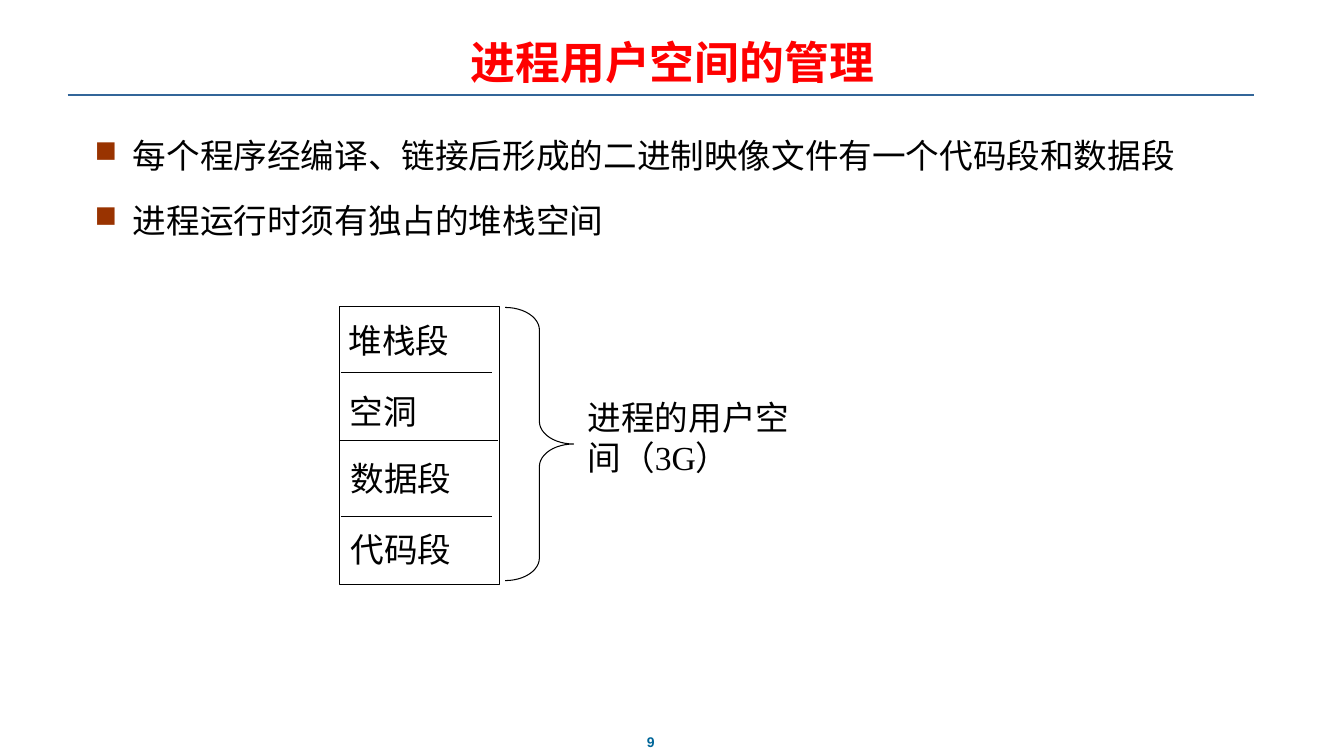
from dataclasses import dataclass
from lxml.etree import SubElement as Sub
from pptx import Presentation
from pptx.dml.color import RGBColor as RGB
from pptx.enum.shapes import MSO_CONNECTOR as Conn, MSO_SHAPE as Shape
from pptx.enum.text import MSO_ANCHOR as Anchor, PP_ALIGN as Align
from pptx.oxml.ns import qn
from pptx.util import Inches, Pt


@dataclass(frozen=True)
class Theme:
    sans: str = "Arial"
    serif: str = "Times New Roman"
    ink: str = "000000"
    paper: str = "FFFFFF"
    title: str = "FF0000"
    rule: str = "336699"
    page: str = "006699"
    bullet: str = "993300"
    big: int = 32
    text: int = 24
    small: int = 10
    thin: float = 0.75
    thick: float = 1.5


theme = Theme()
deck = Presentation()
deck.slide_width, deck.slide_height = Inches(13.33), Inches(7.5)
slide = deck.slides.add_slide(deck.slide_layouts[6])
shapes = slide.shapes


def add_text(box, text, font, size=theme.text, color=theme.ink,
             bold=False, align=Align.LEFT, anchor=Anchor.TOP, wrap=True):
    item = shapes.add_textbox(*map(Inches, box))
    frame = item.text_frame
    frame.text = text
    frame.word_wrap = wrap
    frame.vertical_anchor = anchor
    for para in frame.paragraphs:
        para.alignment = align
        for run in para.runs:
            run.font.name, run.font.size = font, Pt(size)
            run.font.bold = bold
            run.font.color.rgb = RGB.from_string(color)
    return frame


def add_line(left, right, y, color=theme.ink, width=theme.thin):
    line = shapes.add_connector(
        Conn.STRAIGHT, Inches(left), Inches(y), Inches(right), Inches(y))
    line.line.color.rgb = RGB.from_string(color)
    line.line.width = Pt(width)
    Sub(line._element.spPr, qn("a:effectLst"))


# Title, rule and page number
add_line(0.67, 12.44, 0.94, theme.rule, theme.thick)
add_text((6.27, 7.23, 0.37, 0.27), "9", theme.sans, theme.small, theme.page,
         bold=True, align=Align.CENTER, wrap=False)
add_text((0.67, 0.3, 12, 0.63), "进程用户空间的管理", theme.sans, theme.big,
         theme.title, bold=True, align=Align.CENTER, anchor=Anchor.BOTTOM)

# Bulleted points
points = ["每个程序经编译、链接后形成的二进制映像文件有一个代码段和数据段",
          "进程运行时须有独占的堆栈空间"]
body = add_text((0.84, 1.17, 12, 5.64), "\n".join(points), theme.sans)
for para in body.paragraphs:
    para.line_spacing = 1.3
    para.space_before = Pt(9)
    props = para._p.get_or_add_pPr()
    props.set("marL", str(Inches(0.38)))
    props.set("indent", str(-Inches(0.38)))
    tint = Sub(props, qn("a:buClr"))
    Sub(tint, qn("a:srgbClr"), val=theme.bullet)
    Sub(props, qn("a:buSzPct"), val="90000")
    Sub(props, qn("a:buChar"), char="■")

# Memory block and brace
block = shapes.add_shape(
    Shape.RECTANGLE, *map(Inches, (3.37, 3.04, 1.58, 2.76)))
block.fill.solid()
block.fill.fore_color.rgb = RGB.from_string(theme.paper)
brace = shapes.add_shape(
    Shape.RIGHT_BRACE, *map(Inches, (5.01, 3.05, 0.68, 2.71)))
brace.adjustments[0] = 0.33
brace.fill.background()
for part in (block, brace):
    part.shadow.inherit = False
    part.line.color.rgb = RGB.from_string(theme.ink)
    part.line.width = Pt(theme.thin)

# Segment dividers and labels
for left, right, y in [(3.38, 4.88, 3.7), (3.36, 4.94, 4.37),
                       (3.38, 4.88, 5.12)]:
    add_line(left, right, y)
for name, left, top in [("堆栈段", 3.36, 3.12), ("空洞", 3.37, 3.83),
                        ("数据段", 3.38, 4.49), ("代码段", 3.38, 5.2)]:
    add_text((left, top, 1.23, 0.5), name, theme.serif)
add_text((5.73, 3.88, 2.3, 0.91), "进程的用户空间（3G）", theme.serif,
         anchor=Anchor.MIDDLE)

deck.save("out.pptx")
